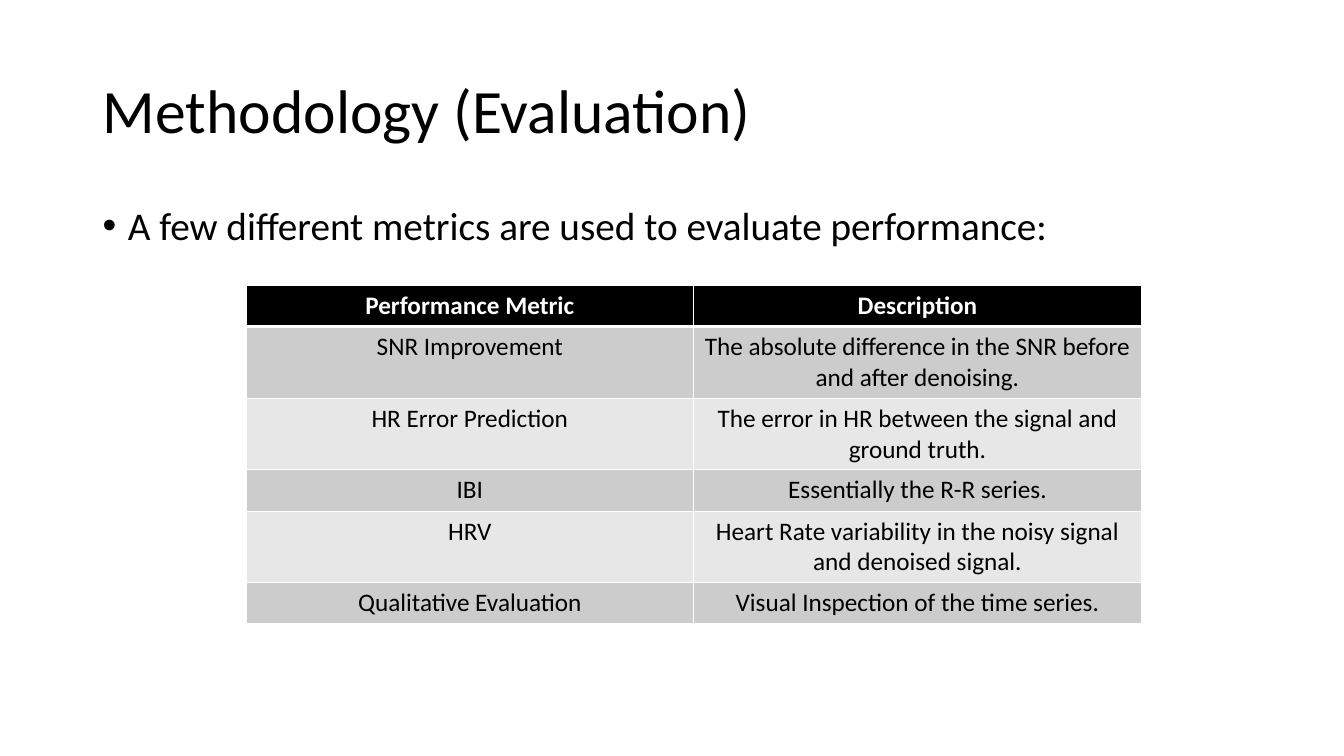
from lxml import etree
from pptx import Presentation
from pptx.dml.color import RGBColor
from pptx.enum.text import MSO_ANCHOR, MSO_AUTO_SIZE, PP_ALIGN
from pptx.oxml.ns import qn
from pptx.util import Inches, Pt

LEFT, CENTER = PP_ALIGN.LEFT, PP_ALIGN.CENTER
TOP, MIDDLE = MSO_ANCHOR.TOP, MSO_ANCHOR.MIDDLE
NO_FIT = MSO_AUTO_SIZE.NONE

FONT = "Calibri"
COLORS = {"ink": "000000", "paper": "FFFFFF", "dark": "CCCCCC", "light": "E7E7E7"}
TITLE = "Methodology (Evaluation)"
LEAD = "A few different metrics are used to evaluate performance:"
METRICS = [
    ("Performance Metric", "Description"),
    ("SNR Improvement", "The absolute difference in the SNR before and after denoising."),
    ("HR Error Prediction", "The error in HR between the signal and ground truth."),
    ("IBI", "Essentially the R-R series."),
    ("HRV", "Heart Rate variability in the noisy signal and denoised signal."),
    ("Qualitative Evaluation", "Visual Inspection of the time series."),
]
COL_W, ROW_H = 4.44, 0.41


def write(frame, text, size, color="ink", align=LEFT, bold=False):
    par = frame.paragraphs[0]
    par.alignment = align
    run = par.add_run()
    run.text = text
    font = run.font
    font.name, font.size, font.bold = FONT, Pt(size), bold
    font.color.rgb = RGBColor.from_string(COLORS[color])
    return par


def setup(frame, anchor):
    frame.word_wrap = True
    frame.auto_size = NO_FIT
    frame.vertical_anchor = anchor


def bullet(par, indent):
    props = par._p.get_or_add_pPr()
    props.set("marL", str(Inches(indent)))
    props.set("indent", str(-Inches(indent)))
    etree.SubElement(props, qn("a:buFont"), typeface="Arial")
    etree.SubElement(props, qn("a:buChar"), char="•")


def border(cell, widths):
    props = cell._tc.get_or_add_tcPr()
    for side, width in zip("LRTB", widths):
        line = etree.SubElement(props, qn("a:ln" + side), w=str(Pt(width)))
        fill = etree.SubElement(line, qn("a:solidFill"))
        etree.SubElement(fill, qn("a:srgbClr"), val=COLORS["paper"])


def add_title(slide):
    title = slide.shapes.title
    title.left, title.top = Inches(0.92), Inches(0.4)
    title.width, title.height = Inches(11.5), Inches(1.45)
    setup(title.text_frame, MIDDLE)
    write(title.text_frame, TITLE, 44).line_spacing = 0.9


def add_lead(slide):
    box = slide.shapes.add_textbox(Inches(0.92), Inches(2), Inches(11.5), Inches(4.76))
    setup(box.text_frame, TOP)
    par = write(box.text_frame, LEAD, 28)
    par.line_spacing = 0.9
    par.space_before = Pt(10)
    bullet(par, 0.25)


def add_metrics(slide):
    rows, cols = len(METRICS), len(METRICS[0])
    table = slide.shapes.add_table(
        rows, cols, Inches(2.44), Inches(2.83), Inches(cols * COL_W), Inches(rows * ROW_H)
    ).table
    for r, texts in enumerate(METRICS):
        head = r == 0
        fill = "ink" if head else "dark" if r % 2 else "light"
        widths = (1, 1, 3 if r == 1 else 1, 3 if head else 1)
        for c, text in enumerate(texts):
            cell = table.cell(r, c)
            border(cell, widths)
            cell.fill.solid()
            cell.fill.fore_color.rgb = RGBColor.from_string(COLORS[fill])
            write(cell.text_frame, text, 18, "paper" if head else "ink", CENTER, head)


def main():
    deck = Presentation()
    deck.slide_width, deck.slide_height = Inches(13.33), Inches(7.5)
    slide = deck.slides.add_slide(deck.slide_layouts[5])
    add_title(slide)
    add_lead(slide)
    add_metrics(slide)
    deck.save("out.pptx")


if __name__ == "__main__":
    main()
